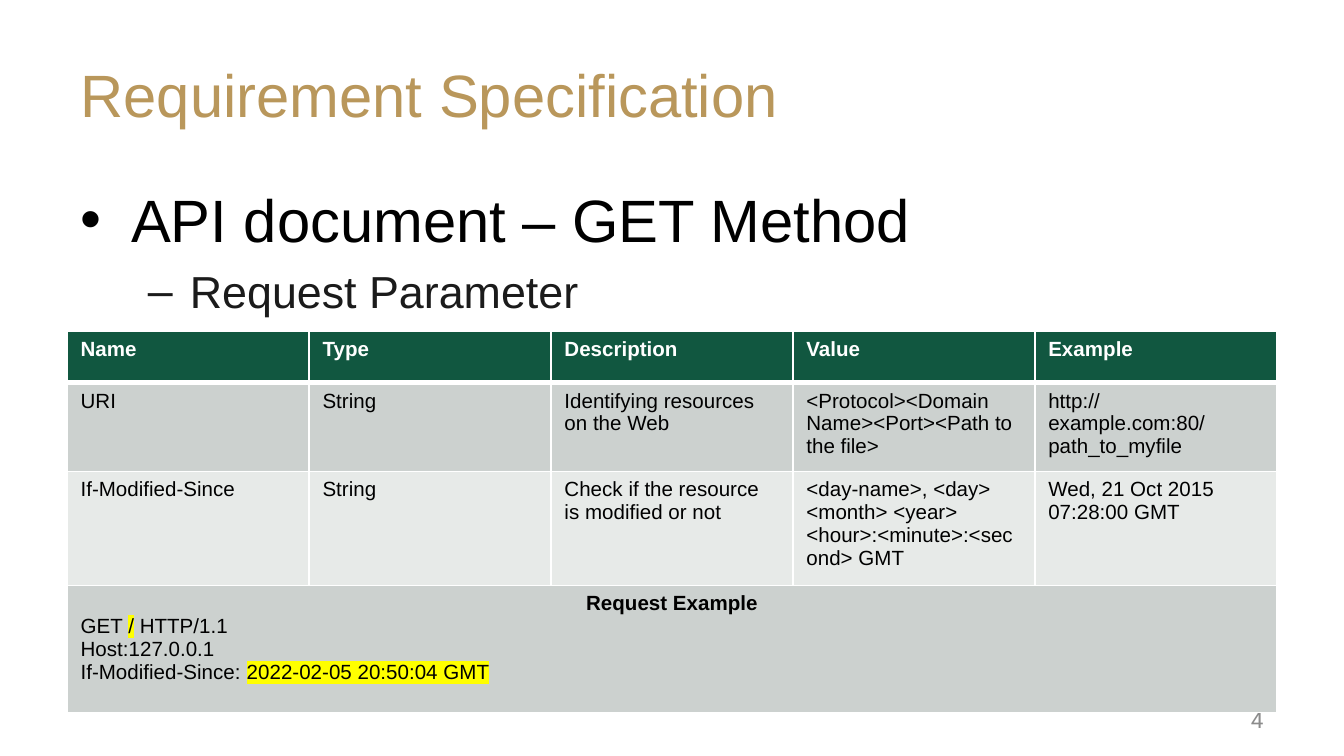
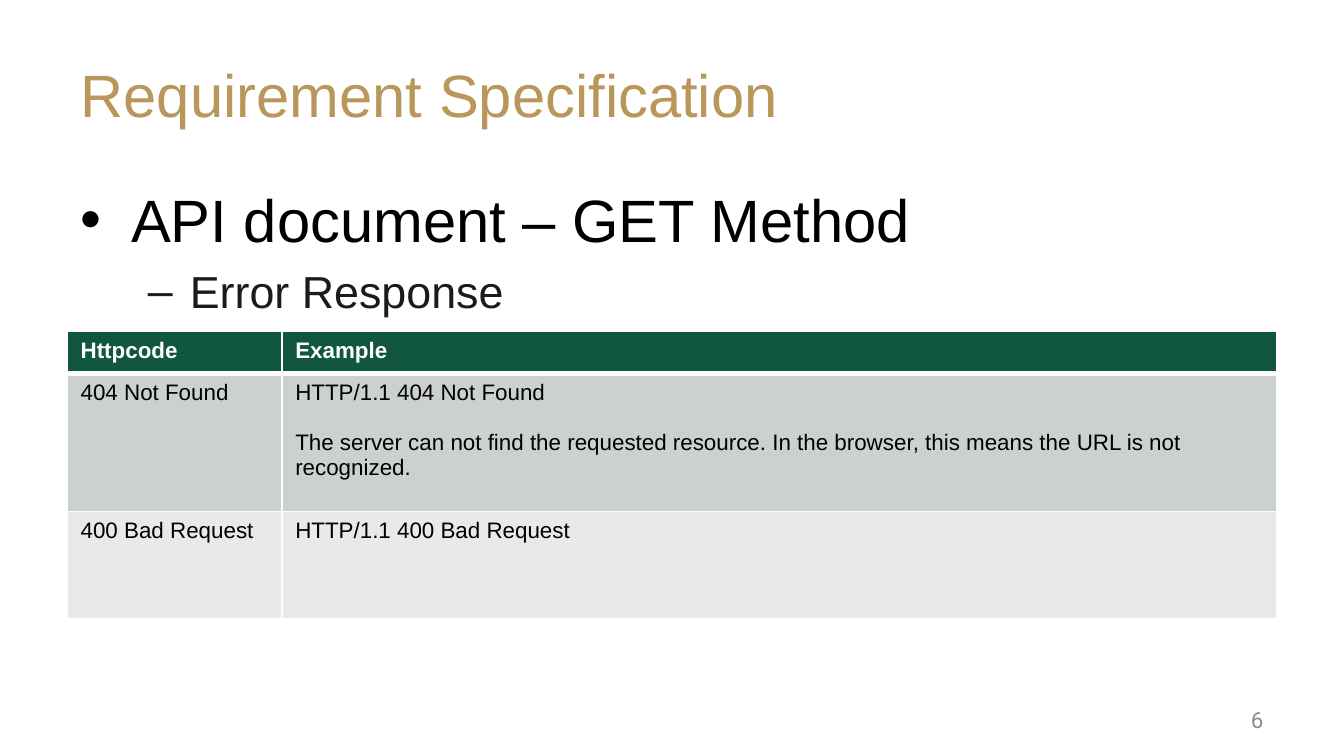
from lxml import etree
from pptx import Presentation
from pptx.dml.color import RGBColor
from pptx.enum.text import MSO_ANCHOR, MSO_AUTO_SIZE, PP_ALIGN
from pptx.oxml.ns import qn
from pptx.util import Pt

LEFT, CENTER, RIGHT = PP_ALIGN.LEFT, PP_ALIGN.CENTER, PP_ALIGN.RIGHT
TOP, MIDDLE = MSO_ANCHOR.TOP, MSO_ANCHOR.MIDDLE
NO_AUTOFIT = MSO_AUTO_SIZE.NONE

COLORS = {
    "title": "B9975B", "text": "000000", "subtext": "1B1B1B",
    "number": "8C8C8C", "white": "FFFFFF", "header": "115740",
    "band_dark": "CCD1CF", "band_light": "E7EAE8", "highlight": "FFFF00",
}
FONT, NUMBER_FONT = "Arial", "Roboto"

# Boxes as left, top, width, height in points
TITLE_BOX = (36, 16.5, 648, 67.5)
BODY_BOX = (36, 94.5, 648, 267)
NUMBER_BOX = (516, 375, 168, 21.5)
TABLE_BOX = (36, 177.7, 648)


def add_text(paragraph, text, size=11, color="text", font=FONT, bold=False,
             align=LEFT, highlight=None):
    """Append one formatted run to a paragraph."""
    paragraph.alignment = align
    run = paragraph.add_run()
    run.text = text
    run.font.size = Pt(size)
    run.font.bold = bold
    run.font.color.rgb = RGBColor.from_string(COLORS[color])
    if highlight:
        mark = etree.SubElement(run.font._element, qn("a:highlight"))
        etree.SubElement(mark, qn("a:srgbClr"), val=COLORS[highlight])
    run.font.name = font


def place(shape, box, anchor):
    """Fit a text shape to a box and return its text frame."""
    shape.left, shape.top, shape.width, shape.height = map(Pt, box)
    frame = shape.text_frame
    frame.word_wrap = True
    frame.auto_size = NO_AUTOFIT
    frame.vertical_anchor = anchor
    return frame


def add_api_slide(prs, topic, number):
    """Title, page number and two-level list shared by the slides."""
    slide = prs.slides.add_slide(prs.slide_layouts[1])
    title = place(slide.shapes.title, TITLE_BOX, MIDDLE)
    add_text(title.paragraphs[0], "Requirement Specification", size=32, color="title")

    body = place(slide.placeholders[1], BODY_BOX, TOP)
    add_text(body.paragraphs[0], "API document – GET Method", size=32)
    subtopic = body.add_paragraph()
    subtopic.level = 1
    add_text(subtopic, topic, size=24, color="subtext")

    page = place(slide.shapes.add_textbox(0, 0, 0, 0), NUMBER_BOX, MIDDLE)
    add_text(page.paragraphs[0], number, size=12, color="number",
             font=NUMBER_FONT, align=RIGHT)
    return slide


def style_cell(cell, fill, bottom=1):
    """White borders and a solid fill."""
    properties = cell._tc.get_or_add_tcPr()
    for side, width in (("L", 1), ("R", 1), ("T", 1), ("B", bottom)):
        line = etree.SubElement(properties, qn(f"a:ln{side}"), w=str(Pt(width)))
        solid = etree.SubElement(line, qn("a:solidFill"))
        etree.SubElement(solid, qn("a:srgbClr"), val=COLORS["white"])
    cell.fill.solid()
    cell.fill.fore_color.rgb = RGBColor.from_string(COLORS[fill])


def add_banded_table(slide, box, rows, col_widths, row_heights, size):
    """Table with a green header and alternating rows; missing cells stay empty."""
    left, top, width = box
    table = slide.shapes.add_table(
        len(row_heights), len(col_widths), Pt(left), Pt(top), Pt(width),
        Pt(sum(row_heights))).table
    for column, col_width in zip(table.columns, col_widths):
        column.width = Pt(col_width)
    for r, height in enumerate(row_heights):
        table.rows[r].height = Pt(height)
        header = r == 0
        fill = "header" if header else "band_dark" if r % 2 else "band_light"
        for c in range(len(col_widths)):
            cell = table.cell(r, c)
            # Row boundary under the header is heavier
            style_cell(cell, fill, bottom=3 if header else 1)
            if r < len(rows) and rows[r][c]:
                add_text(cell.text_frame.paragraphs[0], rows[r][c], size=size,
                         color="white" if header else "text", bold=header)
    return table


def fill_request_example(table, row):
    """Merged bottom row with a sample request."""
    cell = table.cell(row, 0)
    cell.merge(table.cell(row, len(table.columns) - 1))
    frame = cell.text_frame
    add_text(frame.paragraphs[0], "Request Example", bold=True, align=CENTER)
    request_lines = [
        [("GET ", None), ("/", "highlight"), (" HTTP/1.1", None)],
        [("Host:127.0.0.1", None)],
        [("If-Modified-Since: ", None), ("2022-02-05 20:50:04 GMT", "highlight")],
    ]
    for line in request_lines:
        paragraph = frame.add_paragraph()
        for text, highlight in line:
            add_text(paragraph, text, highlight=highlight)


def add_request_slide(prs):
    slide = add_api_slide(prs, "Request Parameter", "4")
    rows = [
        ["Name", "Type", "Description", "Value", "Example"],
        ["URI", "String", "Identifying resources on the Web",
         "<Protocol><Domain Name><Port><Path to the file>",
         "http://example.com:80/path_to_myfile"],
        ["If-Modified-Since", "String", "Check if the resource is modified or not",
         "<day-name>, <day> <month> <year> <hour>:<minute>:<second> GMT",
         "Wed, 21 Oct 2015 07:28:00 GMT"],
    ]
    columns = len(rows[0])
    table = add_banded_table(slide, TABLE_BOX, rows, [TABLE_BOX[2] / columns] * columns,
                             [27.4, 47.6, 61, 68], size=11)
    fill_request_example(table, len(rows))


def add_error_slide(prs):
    slide = add_api_slide(prs, "Error Response", "6")
    rows = [
        ["Httpcode", "Example"],
        ["404 Not Found", "HTTP/1.1 404 Not Found"],
        ["400 Bad Request", "HTTP/1.1 400 Bad Request"],
    ]
    table = add_banded_table(slide, TABLE_BOX, rows, [115, 533], [22.4, 74, 57.4], size=12)
    # Explanation set one line below the status
    explanation = table.cell(1, 1).text_frame.add_paragraph()
    explanation.space_before = Pt(13.5)
    add_text(explanation, "The server can not find the requested resource. In the browser, "
             "this means the URL is not recognized.", size=12)


def main():
    prs = Presentation()
    prs.slide_width, prs.slide_height = Pt(720), Pt(405)
    add_request_slide(prs)
    add_error_slide(prs)
    prs.save("out.pptx")


if __name__ == "__main__":
    main()
